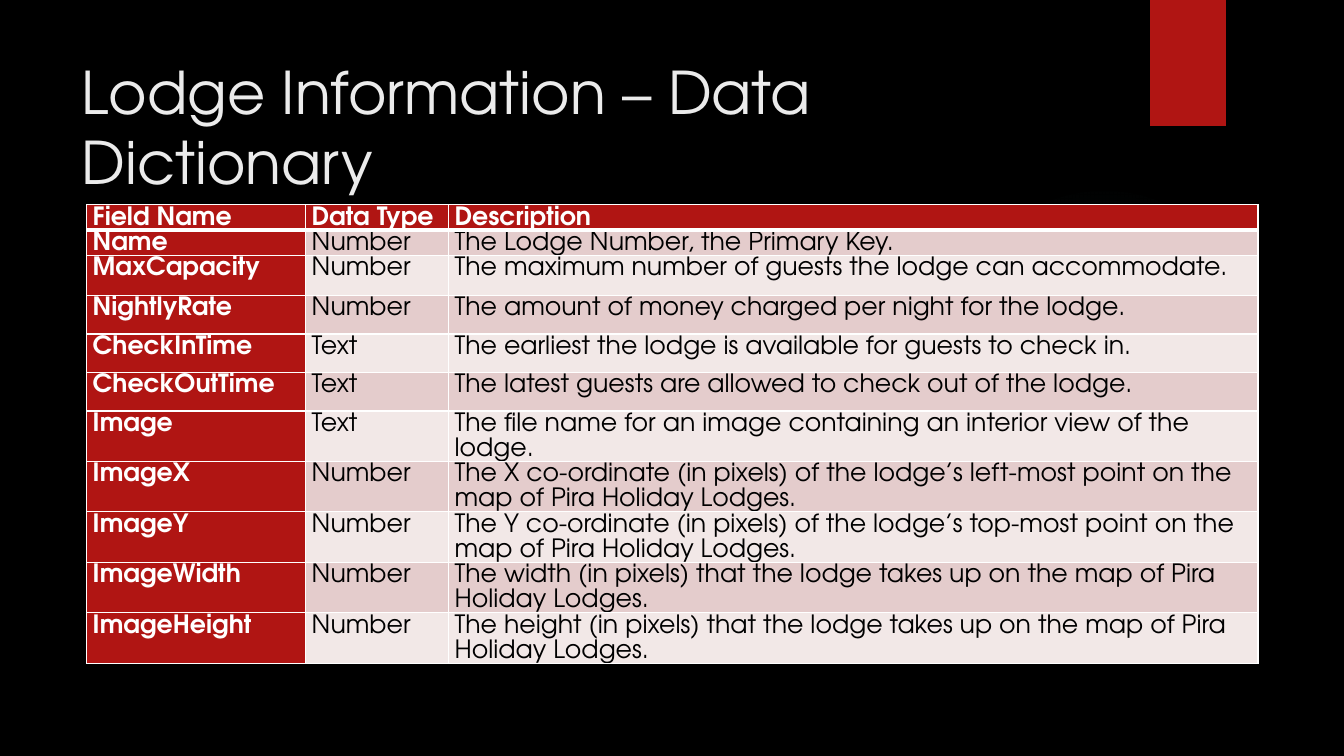
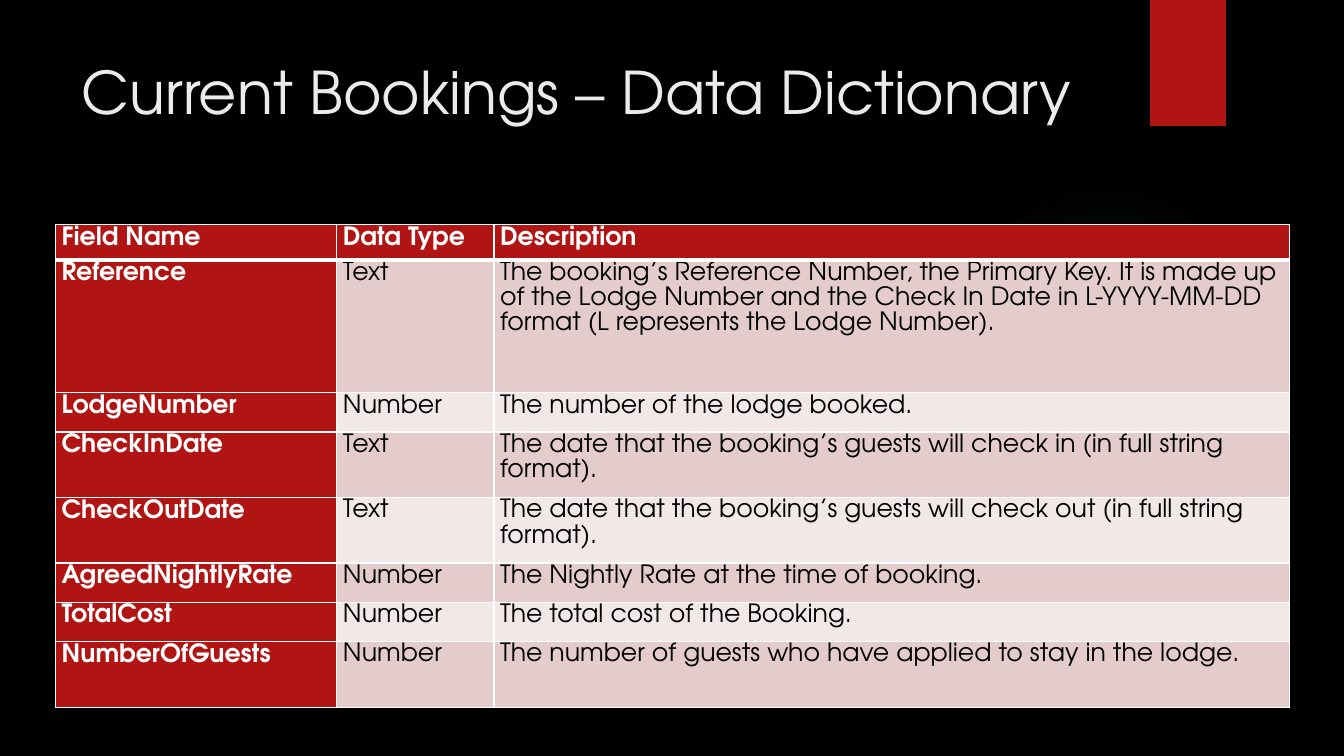
from dataclasses import dataclass
from typing import Any

import lxml.etree
import pptx
import pptx.dml.color
import pptx.enum.shapes
import pptx.enum.text
import pptx.oxml
import pptx.oxml.ns
import pptx.util

FONT = "TeX Gyre Adventor"
HUES = {
    "back": "000000",
    "red": "B01513",
    "title": "EBEBEB",
    "white": "FFFFFF",
    "ink": "000000",
    "rose": "E4CCCC",
    "pale": "F2E8E7",
    "glow": "50B9C1",
}
HEAD = ("Field Name", "Data Type", "Description")


@dataclass(frozen=True)
class Field:
    name: str
    kind: str
    text: str
    high: float


@dataclass(frozen=True)
class Page:
    title: str
    left: float
    top: float
    cols: tuple[float, float, float]
    head: float
    fields: tuple[Field, ...]


PAGES = (
    Page("Lodge Information – Data Dictionary", 6.45, 27.07, (16.28, 10.65, 60.23), 3.33, (
        Field("Name", "Number", "The Lodge Number, the Primary Key.", 3.33),
        Field("MaxCapacity", "Number",
              "The maximum number of guests the lodge can accommodate.", 5.33),
        Field("NightlyRate", "Number",
              "The amount of money charged per night for the lodge.", 5.1),
        Field("CheckInTime", "Text",
              "The earliest the lodge is available for guests to check in.", 5.1),
        Field("CheckOutTime", "Text",
              "The latest guests are allowed to check out of the lodge.", 5.1),
        Field("Image", "Text",
              "The file name for an image containing an interior view of the lodge.", 6.67),
        Field("ImageX", "Number",
              "The X co-ordinate (in pixels) of the lodge’s left-most point on the map of "
              "Pira Holiday Lodges.", 6.67),
        Field("ImageY", "Number",
              "The Y co-ordinate (in pixels) of the lodge’s top-most point on the map of "
              "Pira Holiday Lodges.", 6.67),
        Field("ImageWidth", "Number",
              "The width (in pixels) that the lodge takes up on the map of "
              "Pira Holiday Lodges.", 6.67),
        Field("ImageHeight", "Number",
              "The height (in pixels) that the lodge takes up on the map of "
              "Pira Holiday Lodges.", 6.67),
    )),
    Page("Current Bookings – Data Dictionary", 4.13, 29.73, (20.93, 11.7, 59.18), 4.67, (
        Field("Reference", "Text",
              "The booking’s Reference Number, the Primary Key. It is made up of the Lodge "
              "Number and the Check In Date in L-YYYY-MM-DD format (L represents the Lodge "
              "Number).", 17.55),
        Field("LodgeNumber", "Number", "The number of the lodge booked.", 5.2),
        Field("CheckInDate", "Text",
              "The date that the booking’s guests will check in (in full string format).", 8.67),
        Field("CheckOutDate", "Text",
              "The date that the booking’s guests will check out (in full string format).", 8.67),
        Field("AgreedNightlyRate", "Number", "The Nightly Rate at the time of booking.", 5.2),
        Field("TotalCost", "Number", "The total cost of the Booking.", 5.2),
        Field("NumberOfGuests", "Number",
              "The number of guests who have applied to stay in the lodge.", 8.67),
    )),
)

WIDE = pptx.util.Inches(13.33)
HIGH = pptx.util.Inches(7.5)


def across(share: float) -> int:
    return round(WIDE * share / 100)


def down(share: float) -> int:
    return round(HIGH * share / 100)


def box(left: float, top: float, wide: float, high: float) -> tuple[int, int, int, int]:
    return across(left), down(top), across(wide), down(high)


def hue(name: str) -> pptx.dml.color.RGBColor:
    return pptx.dml.color.RGBColor.from_string(HUES[name])


def style(para: Any, size: float, tint: str, bold: bool = False) -> None:
    for run in para.runs:
        run.font.name = FONT
        run.font.size = pptx.util.Pt(size)
        run.font.bold = bold
        run.font.color.rgb = hue(tint)


def add_glow(shape: Any) -> None:
    stops = "".join(
        f'<a:gs pos="{spot * 1000}"><a:srgbClr val="{HUES["glow"]}">'
        f'<a:alpha val="{alpha * 1000}"/></a:srgbClr></a:gs>'
        for spot, alpha in ((0, 7), (36, 6), (69, 0))
    )
    fill = pptx.oxml.parse_xml(
        f'<a:gradFill {pptx.oxml.ns.nsdecls("a")}><a:gsLst>{stops}</a:gsLst>'
        '<a:path path="circle"><a:fillToRect l="50000" t="50000" r="50000" b="50000"/>'
        "</a:path></a:gradFill>"
    )
    shape.fill.background()
    old = shape.element.spPr.find(pptx.oxml.ns.qn("a:noFill"))
    shape.element.spPr.replace(old, fill)


def add_decor(slide: Any) -> None:
    kinds = pptx.enum.shapes.MSO_SHAPE
    glow = slide.shapes.add_shape(kinds.OVAL, *box(70.58, 24.4, 23.1, 41.07))
    add_glow(glow)
    tag = slide.shapes.add_shape(kinds.RECTANGLE, *box(85.58, 0, 5.63, 16.67))
    tag.fill.solid()
    tag.fill.fore_color.rgb = hue("red")
    for spot, shape in enumerate((glow, tag), 2):
        shape.line.fill.background()
        shape.shadow.inherit = False
        slide.shapes.element.insert(spot, shape.element)


def set_title(slide: Any, text: str) -> None:
    title = slide.shapes.title
    title.left, title.top, title.width, title.height = box(5.33, 6.67, 77.18, 20.4)
    frame = title.text_frame
    frame.text = text
    frame.word_wrap = True
    frame.auto_size = pptx.enum.text.MSO_AUTO_SIZE.NONE
    frame.vertical_anchor = pptx.enum.text.MSO_ANCHOR.TOP
    para = frame.paragraphs[0]
    para.alignment = pptx.enum.text.PP_ALIGN.LEFT
    style(para, 42, "title")


def add_edges(cell: Any, row: int) -> None:
    props = cell._tc.get_or_add_tcPr()
    heavy = {0: "B", 1: "T"}.get(row)
    for spot, side in enumerate("LRTB"):
        width = pptx.util.Pt(3 if side == heavy else 1)
        edge = pptx.oxml.parse_xml(
            f'<a:ln{side} {pptx.oxml.ns.nsdecls("a")} w="{width}"><a:solidFill>'
            f'<a:srgbClr val="{HUES["white"]}"/></a:solidFill></a:ln{side}>'
        )
        props.insert(spot, edge)


def set_cell(cell: Any, text: str, row: int, col: int) -> None:
    strong = row == 0 or col == 0
    cell.margin_left = cell.margin_right = pptx.util.Inches(0.06)
    cell.margin_top = cell.margin_bottom = 0
    cell.fill.solid()
    cell.fill.fore_color.rgb = hue("red" if strong else "rose" if row % 2 else "pale")
    cell.text_frame.text = text
    para = cell.text_frame.paragraphs[0]
    para.line_spacing = pptx.util.Pt(18)
    para.space_after = pptx.util.Pt(8)
    style(para, 18, "white" if strong else "ink", strong)
    add_edges(cell, row)


def add_grid(slide: Any, page: Page) -> None:
    rows = [HEAD] + [(field.name, field.kind, field.text) for field in page.fields]
    highs = [page.head] + [field.high for field in page.fields]
    area = box(page.left, page.top, sum(page.cols), sum(highs))
    grid = slide.shapes.add_table(len(rows), len(HEAD), *area).table
    for col, wide in zip(grid.columns, page.cols):
        col.width = across(wide)
    for line, high in zip(grid.rows, highs):
        line.height = down(high)
    for row, texts in enumerate(rows):
        for col, text in enumerate(texts):
            set_cell(grid.cell(row, col), text, row, col)


def main() -> None:
    deck = pptx.Presentation()
    deck.slide_width, deck.slide_height = WIDE, HIGH
    back = deck.slide_master.background.fill
    back.solid()
    back.fore_color.rgb = hue("back")
    for page in PAGES:
        slide = deck.slides.add_slide(deck.slide_layouts[5])
        add_decor(slide)
        set_title(slide, page.title)
        add_grid(slide, page)
    deck.save("out.pptx")


if __name__ == "__main__":
    main()
